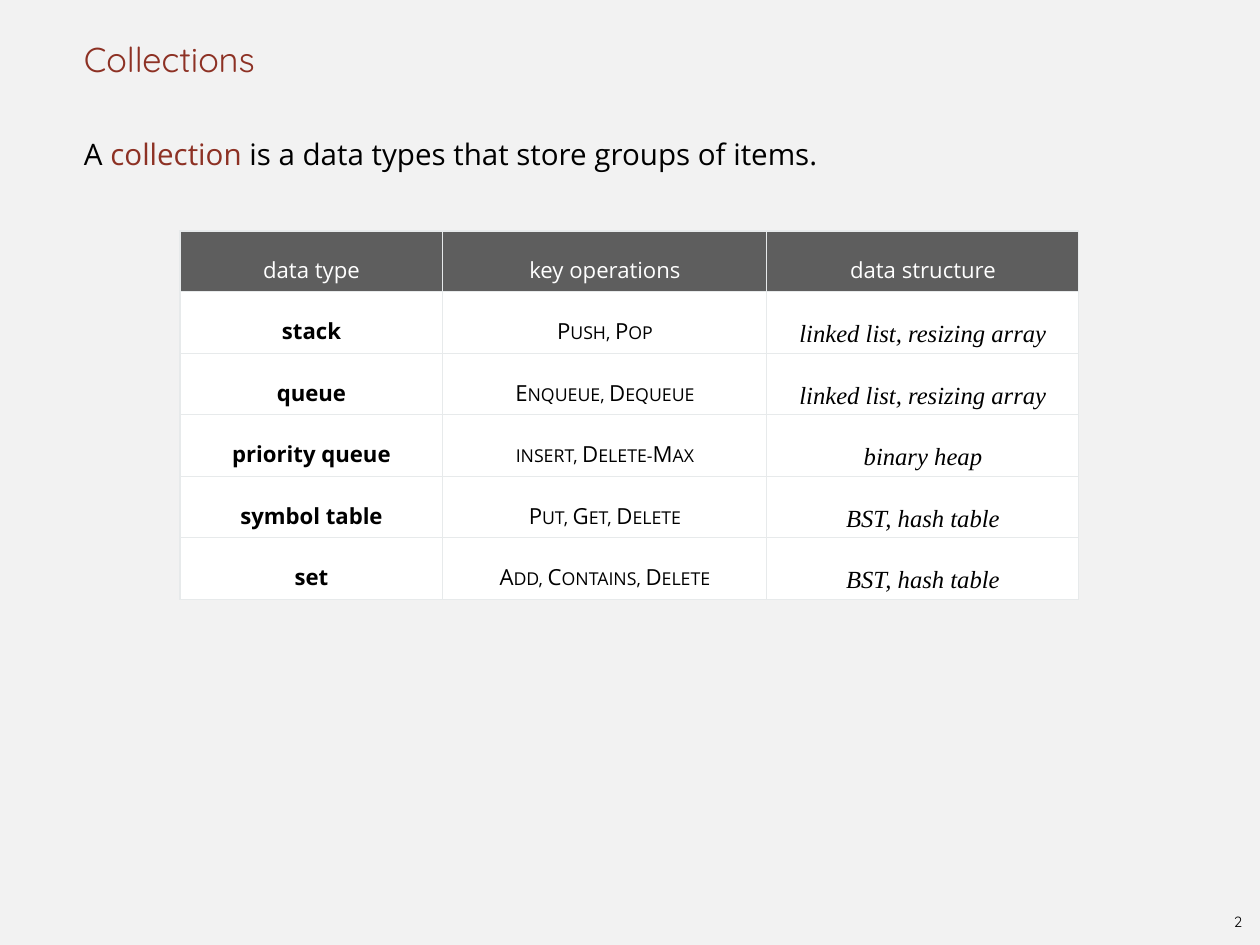
"""Build the Collections slide with its table of data types."""
import pptx
import pptx.dml.color
import pptx.enum.text
import pptx.oxml
import pptx.util

PX = 914400 / 88.6
NS = "http://schemas.openxmlformats.org/drawingml/2006/main"
RED, BLACK, WHITE, GREY, RULE = "8D3124", "000000", "FFFFFF", "5E5E5E", "E7EAEB"
ALIGN = pptx.enum.text.PP_ALIGN
ANCHOR = pptx.enum.text.MSO_ANCHOR


def px(n):
    return pptx.util.Emu(round(n * PX))


def style(p, name, size, color, align, spacing=None):
    pPr = p._p.get_or_add_pPr()
    pPr.set("marL", str(px(5)))
    pPr.set("marR", str(px(5)))
    pPr.set("indent", "0")
    p.alignment = align
    if spacing:
        p.line_spacing = pptx.util.Pt(spacing)
    p.space_before = pptx.util.Pt(0)
    pPr.append(pptx.oxml.parse_xml(f'<a:buNone xmlns:a="{NS}"/>'))
    for r in p.runs:
        r.font.name = name
        r.font.size = pptx.util.Pt(size)
        r.font.color.rgb = pptx.dml.color.RGBColor.from_string(color)


prs = pptx.Presentation()
prs.slide_width, prs.slide_height = px(1260), px(945)
s = prs.slides.add_slide(prs.slide_layouts[1])
s.background.fill.solid()
s.background.fill.fore_color.rgb = pptx.dml.color.RGBColor.from_string("F2F2F2")

title, body = s.shapes.title, s.placeholders[1]
number = s.shapes.add_textbox(px(1223), px(908), px(30), px(28))
for sp, top, height, inset, anchor in (
    (title, 0, 79, 0, ANCHOR.BOTTOM),
    (body, 123, 788, 0, ANCHOR.TOP),
    (number, 908, 28, 5, ANCHOR.MIDDLE),
):
    if sp is not number:
        sp.left, sp.top, sp.width, sp.height = px(79), px(top), px(1102), px(height)
    tf = sp.text_frame
    tf.auto_size = pptx.enum.text.MSO_AUTO_SIZE.NONE
    tf.word_wrap = sp is not number
    tf.vertical_anchor = anchor
    tf.margin_left = tf.margin_right = tf.margin_top = tf.margin_bottom = px(inset)

title.text_frame.text = "Collections"
style(title.text_frame.paragraphs[0], "Quicksand", 28, RED, ALIGN.LEFT)

p = body.text_frame.paragraphs[0]
for text in ("A ", "collection", " is a data types that store groups of items."):
    p.add_run().text = text
style(p, "Open Sans", 24, BLACK, ALIGN.LEFT, 39)
p.runs[1].font.color.rgb = pptx.dml.color.RGBColor.from_string(RED)

number.text_frame.text = "2"
style(number.text_frame.paragraphs[0], "Quicksand", 12, BLACK, ALIGN.CENTER)

rows = (
    ("data type", "key operations", "data structure"),
    ("stack", "Push, Pop", "linked list, resizing array"),
    ("queue", "Enqueue, Dequeue", "linked list, resizing array"),
    ("priority queue", "insert, Delete-Max", "binary heap"),
    ("symbol table", "Put, Get, Delete", "BST, hash table"),
    ("set", "Add, Contains, Delete", "BST, hash table"),
)
widths = (263, 324, 312)
table = s.shapes.add_table(
    len(rows), len(widths), px(180), px(231), px(sum(widths)), px(369)
).table
table.first_row = table.horz_banding = False
for column, width in zip(table.columns, widths):
    column.width = px(width)

for i, row in enumerate(rows):
    table.rows[i].height = px(61 + i % 2)
    for j, text in enumerate(row):
        cell = table.cell(i, j)
        cell.text_frame.text = text
        cell.vertical_anchor = ANCHOR.MIDDLE
        cell.margin_left = cell.margin_right = cell.margin_top = cell.margin_bottom = px(5)
        tcPr = cell._tc.get_or_add_tcPr()
        for side in "LRTB":
            tcPr.append(pptx.oxml.parse_xml(
                f'<a:ln{side} xmlns:a="{NS}" w="12700"><a:solidFill>'
                f'<a:srgbClr val="{RULE}"/></a:solidFill></a:ln{side}>'
            ))
        cell.fill.solid()
        cell.fill.fore_color.rgb = pptx.dml.color.RGBColor.from_string(WHITE if i else GREY)
        p = cell.text_frame.paragraphs[0]
        r = p.runs[0]
        if i and j == 2:
            style(p, "Times New Roman", 20, BLACK, ALIGN.CENTER, 41)
            r.font.italic = True
        else:
            style(p, "Open Sans", 18, BLACK if i else WHITE, ALIGN.CENTER, 38)
            r.font.bold = bool(i and j == 0)
            if i and j == 1:
                r._r.get_or_add_rPr().set("cap", "small")

prs.save("out.pptx")
